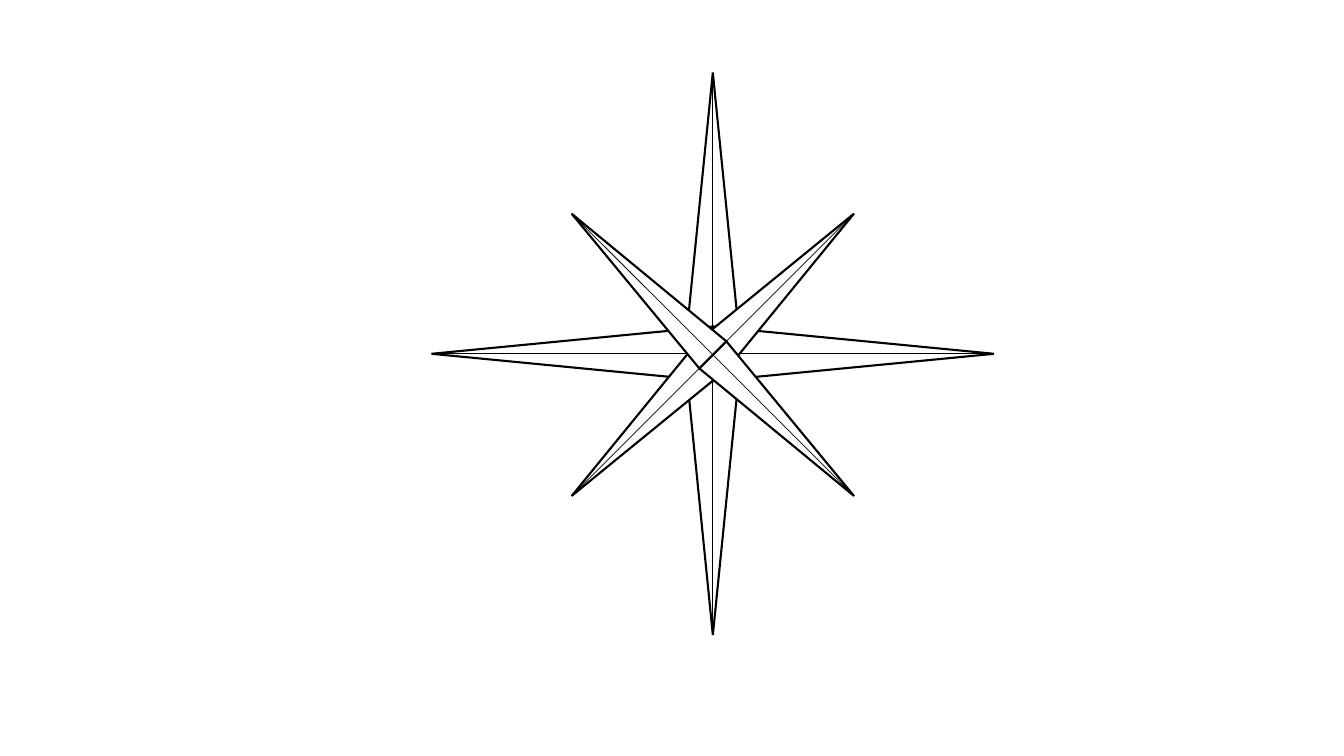
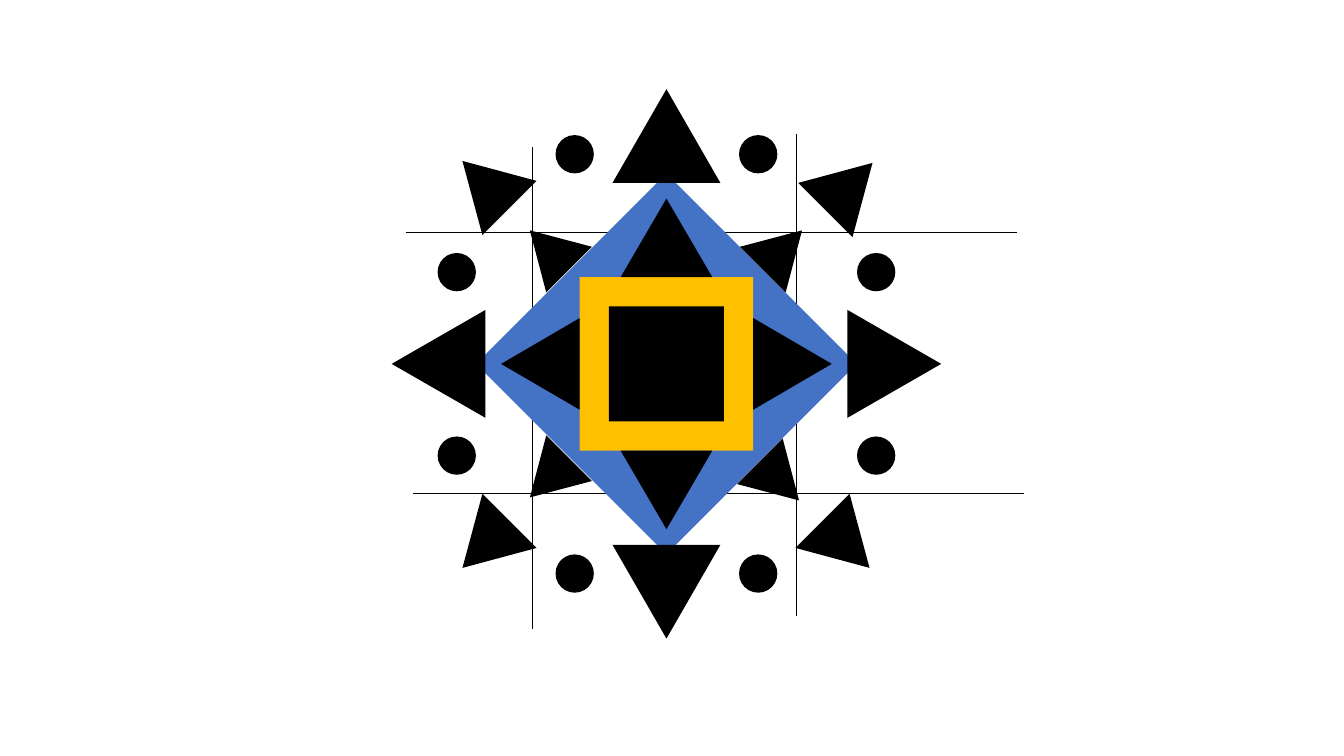
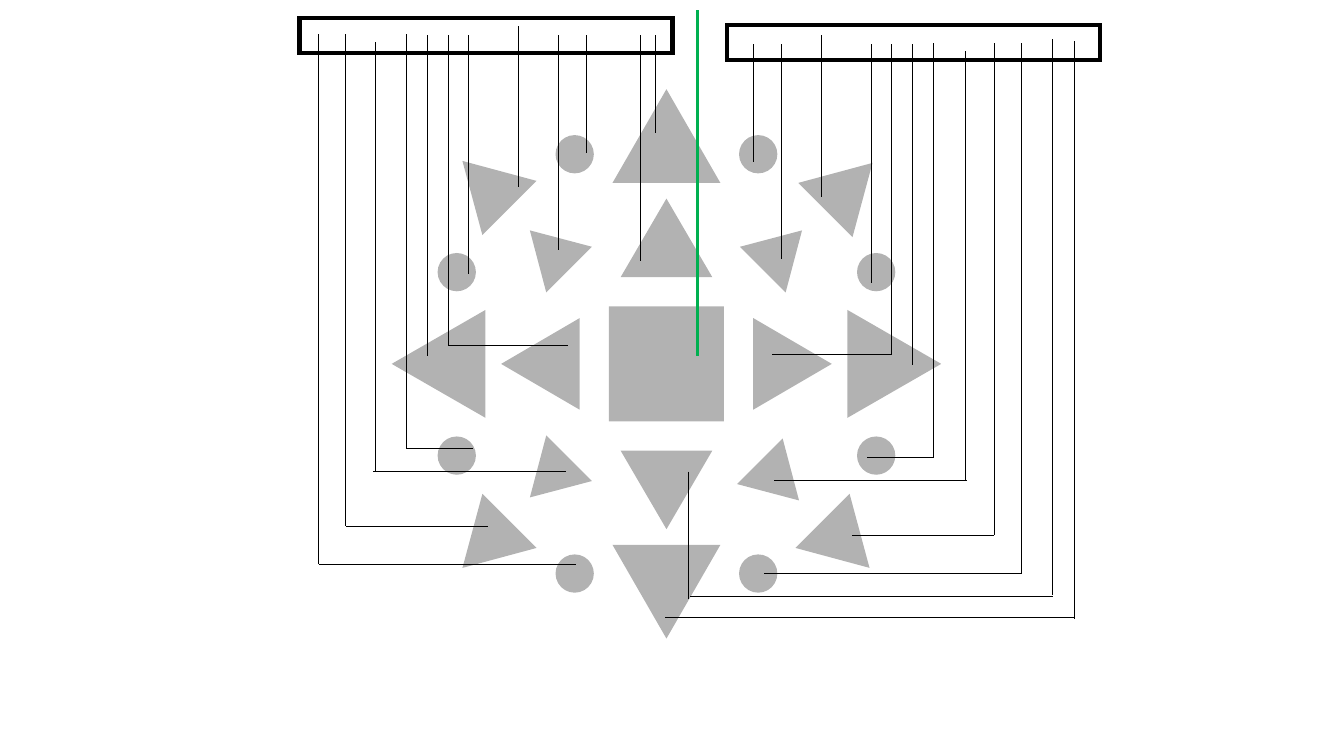
from dataclasses import dataclass
from itertools import product
from math import cos, radians, sin

from lxml.etree import SubElement
from pptx import Presentation
from pptx.dml.color import RGBColor
from pptx.enum.shapes import MSO_CONNECTOR as Link, MSO_SHAPE as Kind
from pptx.oxml.ns import qn
from pptx.util import Inches, Pt


@dataclass(frozen=True)
class Theme:
    ink: str = "000000"
    paper: str = "FFFFFF"
    blue: str = "4472C4"
    gold: str = "FFC000"
    green: str = "00B050"
    hair: float = 0.5
    edge: float = 1.5
    axis: float = 2.25
    frame: float = 3


T = Theme()

STAR = [
    {"hub": (7.07, 3.51), "size": 2.79, "turn": 0, "wide": (0.56, 0.54)},
    {"hub": (7.07, 3.52), "size": 1.98, "turn": 45, "wide": (0.4, 0.38)},
]

HUB = (6.61, 3.61)
CORE = 1.14
BIG, SMALL = (0.76, 0.66), (0.64, 0.55)
CORNERS = [
    (45, BIG, (8.42, 1.85)), (45, SMALL, (7.76, 2.48)),
    (315, BIG, (4.82, 1.83)), (315, SMALL, (5.45, 2.48)),
    (135, BIG, (8.39, 5.4)), (135, SMALL, (7.73, 4.77)),
    (225, BIG, (4.82, 5.4)), (225, SMALL, (5.45, 4.74)),
]
ARMS = [((1.07, 0.93), 2.26), ((0.91, 0.78), 1.25)]
DOT = 0.38
DOTS = (2.08, 0.91)

GRID = [
    ((10.09, 2.31), (4.03, 2.31)),
    ((7.9, 1.33), (7.9, 6.11)),
    ((5.28, 1.46), (5.28, 6.24)),
    ((10.16, 4.89), (4.1, 4.89)),
]

DROPS = [
    (5.82, 0.35, 1.52), (5.54, 0.35, 2.48), (5.14, 0.26, 1.86),
    (4.65, 0.35, 2.72), (4.24, 0.35, 3.53), (4.45, 0.35, 3.43),
    (4.03, 0.34, 4.45), (3.72, 0.42, 4.68), (3.43, 0.34, 5.22),
    (3.16, 0.34, 5.6),
]
RUNGS = [
    (3.43, 4.45, 5.63), (4.45, 4.03, 4.69), (4.68, 3.7, 5.61),
    (5.22, 3.43, 4.84), (5.6, 3.16, 5.71),
]
MIRROR, SHIFT = 13.29, 0.09
EXTRA = [
    ((6.5, 0.35), (6.5, 1.32)), ((6.35, 0.35), (6.35, 2.59)),
    ((6.83, 4.68), (6.83, 5.94)), ((10.44, 0.39), (10.44, 5.9)),
    ((10.44, 5.92), (6.84, 5.92)), ((10.66, 0.41), (10.66, 6.14)),
    ((10.66, 6.12), (6.6, 6.12)),
]
AXIS = ((6.92, 0.1), (6.92, 3.53))
BOX = (3.7, 0.35)
BOXES = [(4.82, 0.35), (9.06, 0.42)]


def polar(hub, far, turn):
    a = radians(turn)
    return hub[0] + far * sin(a), hub[1] - far * cos(a)


def draw(page, kind, mid, size, turn=0, fill=None, alpha=100, width=0):
    (x, y), (w, h) = mid, size
    item = page.shapes.add_shape(
        kind, Inches(x - w / 2), Inches(y - h / 2), Inches(w), Inches(h))
    item.rotation = turn
    item.shadow.inherit = False
    if fill:
        item.fill.solid()
        item.fill.fore_color.rgb = RGBColor.from_string(fill)
        if alpha < 100:
            tone = next(item.element.iter(qn("a:srgbClr")))
            SubElement(tone, qn("a:alpha")).set("val", str(alpha * 1000))
    else:
        item.fill.background()
    if width:
        item.line.color.rgb = RGBColor.from_string(T.ink)
        item.line.width = Pt(width)
        edge = item.element.spPr.find(qn("a:ln"))
        SubElement(edge, qn("a:miter")).set("lim", "800000")
    else:
        item.line.fill.background()


def wire(page, start, end, tint=T.ink, width=T.hair):
    item = page.shapes.add_connector(
        Link.STRAIGHT, *(Inches(v) for v in (*start, *end)))
    item.line.color.rgb = RGBColor.from_string(tint)
    item.line.width = Pt(width)
    SubElement(item.element.spPr, qn("a:effectLst"))


def motif(page, alpha=100):
    ink = {"fill": T.ink, "alpha": alpha}
    for turn, size, mid in CORNERS:
        draw(page, Kind.ISOSCELES_TRIANGLE, mid, size, turn, **ink)
    for turn, (size, far) in product((0, 180, 90, 270), ARMS):
        draw(page, Kind.ISOSCELES_TRIANGLE, polar(HUB, far, turn), size, turn, **ink)
    for (dx, dy), sx, sy in product((DOTS, DOTS[::-1]), (-1, 1), (-1, 1)):
        mid = HUB[0] + sx * dx, HUB[1] + sy * dy
        draw(page, Kind.OVAL, mid, (DOT, DOT), **ink)
    draw(page, Kind.RECTANGLE, HUB, (CORE, CORE), **ink)


def star(page):
    for ring in STAR:
        hub, size = ring["hub"], ring["size"]
        axes = [(ring["turn"] + 90 * i, w) for i, w in enumerate(ring["wide"])]
        for (base, wide), half in product(axes, (0, 180)):
            turn = base + half
            draw(page, Kind.ISOSCELES_TRIANGLE, polar(hub, size / 2, turn),
                 (wide, size), turn, fill=T.paper, width=T.edge)
        for turn, _ in axes:
            wire(page, polar(hub, size, turn), polar(hub, size, turn + 180))


def medal(page):
    for ends in GRID:
        wire(page, *ends)
    draw(page, Kind.RECTANGLE, HUB, (2.67, 2.67), 315, fill=T.blue)
    draw(page, Kind.RECTANGLE, HUB, (1.72, 1.72), fill=T.gold)
    motif(page)


def wiring(page):
    motif(page, alpha=30)
    left = [((x, top), (x, low)) for x, top, low in DROPS]
    left += [((a, y), (b, y)) for y, a, b in RUNGS]
    right = [[(MIRROR - x, y + SHIFT) for x, y in ends] for ends in left]
    for ends in left + right + EXTRA:
        wire(page, *ends)
    for mid in BOXES:
        draw(page, Kind.RECTANGLE, mid, BOX, width=T.frame)
    wire(page, *AXIS, tint=T.green, width=T.axis)


def main():
    deck = Presentation()
    deck.slide_width, deck.slide_height = Inches(13.33), Inches(7.5)
    for build in (star, medal, wiring):
        build(deck.slides.add_slide(deck.slide_layouts[6]))
    deck.save("out.pptx")


if __name__ == "__main__":
    main()
